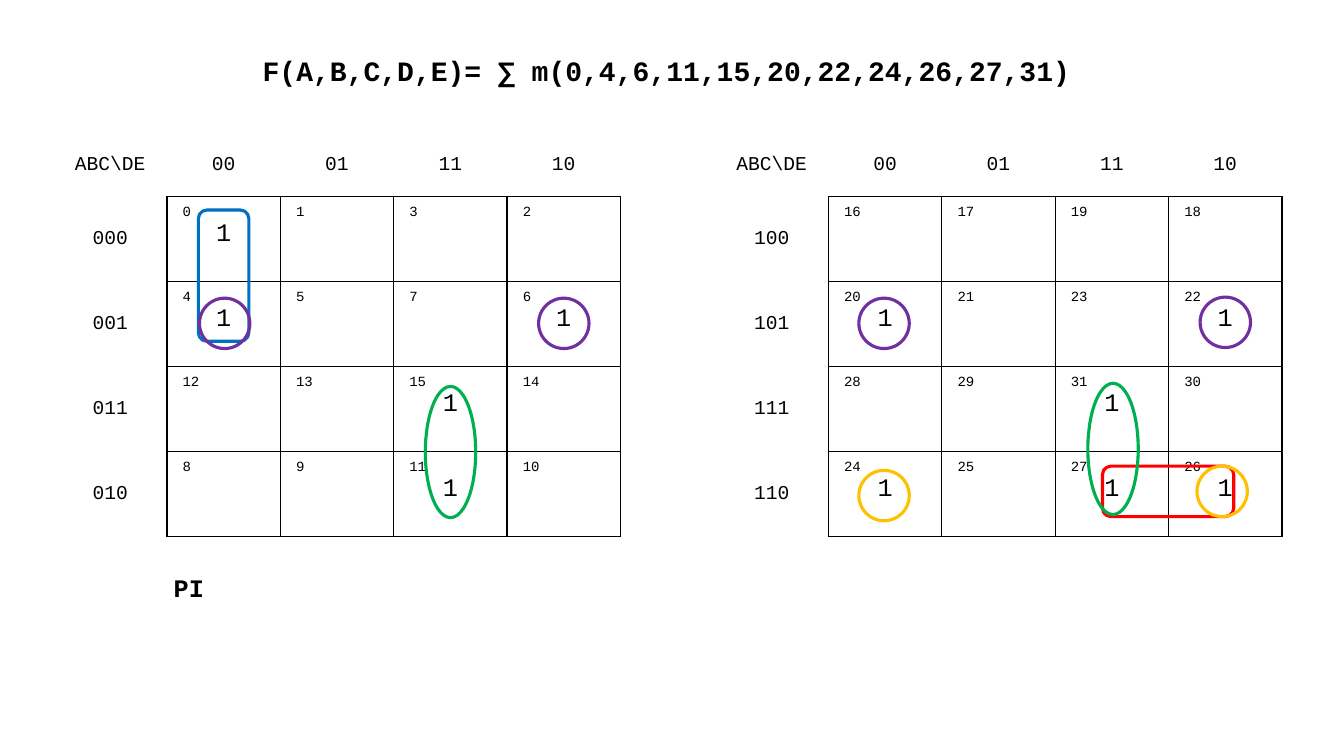
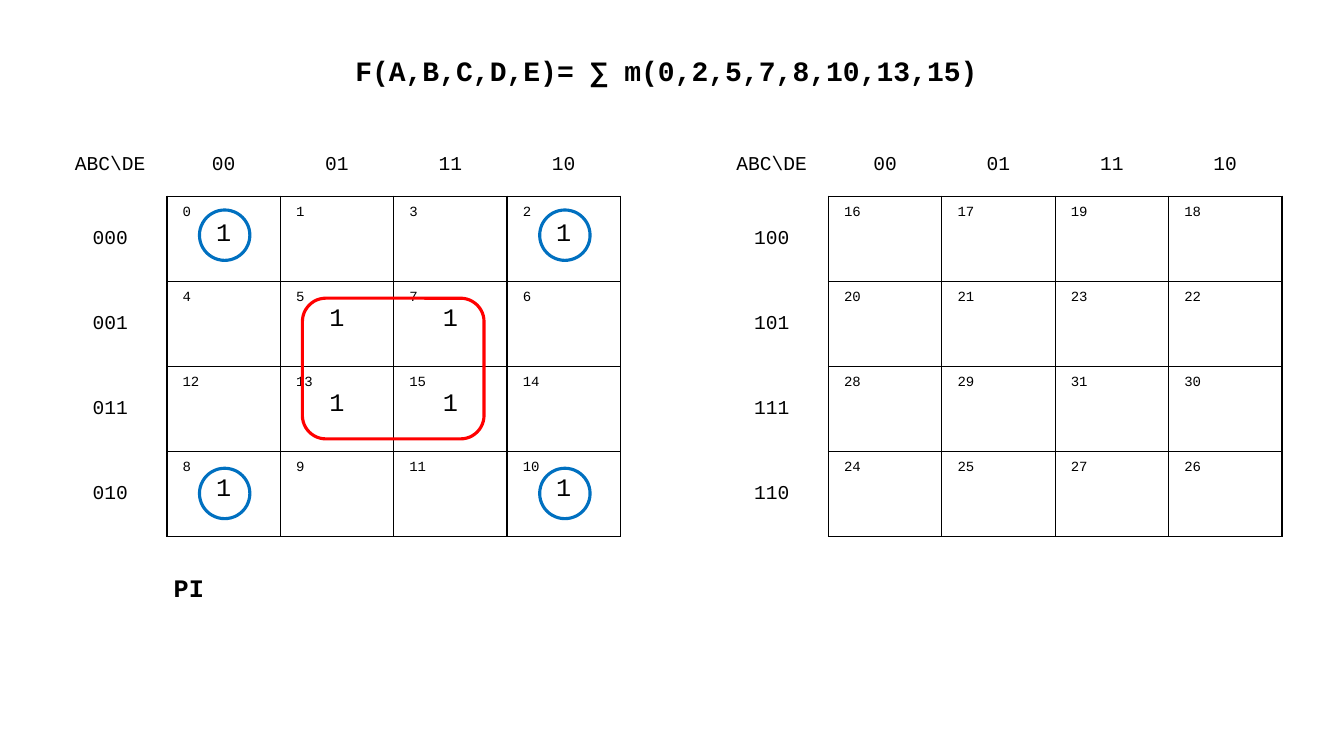
from dataclasses import dataclass

from lxml import etree
from pptx import Presentation
from pptx import util as u
from pptx.dml.color import RGBColor
from pptx.enum import shapes, text
from pptx.oxml import ns

PX = 9525
GRAY = (0, 1, 3, 2)
SIDES = ("L", "R", "T", "B")


@dataclass(frozen=True)
class Theme:
    font: str = "Courier New"
    ink: str = "000000"
    paper: str = "FFFFFF"
    red: str = "FF0000"
    blue: str = "0070C0"
    green: str = "00B050"
    purple: str = "7030A0"
    orange: str = "FFC000"
    title_size: int = 20
    note_size: int = 18
    one_size: int = 18
    label_size: int = 14
    index_size: int = 10
    border: float = 1
    loop: float = 2.25


def px(*lengths):
    return [u.Emu(length * PX) for length in lengths]


class Deck:
    def __init__(self, theme):
        self.theme = theme
        self.presentation = Presentation()
        self.presentation.slide_width, self.presentation.slide_height = px(1280, 720)
        self.slide = None

    def start_slide(self, minterms):
        layout = self.presentation.slide_layouts.get_by_name("Title Only")
        self.slide = self.presentation.slides.add_slide(layout)
        title = self.slide.shapes.title
        title.left, title.top, title.width, title.height = px(83, 41, 1104, 47)
        terms = ",".join(map(str, minterms))
        self.heading(title, f"F(A,B,C,D,E)= ∑ m({terms})", self.theme.title_size, text.PP_ALIGN.CENTER)

    def heading(self, shape, wording, size, align):
        frame = shape.text_frame
        frame.text = wording
        frame.word_wrap = True
        frame.auto_size = text.MSO_AUTO_SIZE.SHAPE_TO_FIT_TEXT
        frame.vertical_anchor = text.MSO_ANCHOR.TOP
        paragraph = frame.paragraphs[0]
        paragraph.line_spacing = 1.15
        paragraph.space_before = paragraph.space_after = u.Pt(6)
        self.style(paragraph, size, align, True)

    def style(self, paragraph, size, align, bold=False):
        paragraph.alignment = align
        for run in paragraph.runs:
            run.font.name = self.theme.font
            run.font.size = u.Pt(size)
            run.font.bold = bold
            run.font.color.rgb = RGBColor.from_string(self.theme.ink)

    def note(self, wording):
        box = self.slide.shapes.add_textbox(*px(156, 536, 1065, 41))
        self.heading(box, wording, self.theme.note_size, text.PP_ALIGN.LEFT)

    def cell(self, cell, wording, sides, is_label):
        cell.text = wording
        cell.margin_left, cell.margin_top, cell.margin_right, cell.margin_bottom = px(15, 8, 15, 8)
        cell.vertical_anchor = text.MSO_ANCHOR.MIDDLE if is_label else text.MSO_ANCHOR.TOP
        paragraphs = cell.text_frame.paragraphs
        if is_label:
            self.style(paragraphs[0], self.theme.label_size, text.PP_ALIGN.CENTER)
        else:
            self.style(paragraphs[0], self.theme.index_size, text.PP_ALIGN.LEFT)
            for paragraph in paragraphs[1:]:
                self.style(paragraph, self.theme.one_size, text.PP_ALIGN.CENTER)
        self.borders(cell, sides)
        cell.fill.solid()
        cell.fill.fore_color.rgb = RGBColor.from_string(self.theme.paper)

    def borders(self, cell, sides):
        properties = cell._tc.get_or_add_tcPr()
        for side in SIDES:
            line = etree.SubElement(properties, ns.qn(f"a:ln{side}"), w=str(u.Pt(self.theme.border)))
            if side in sides:
                fill = etree.SubElement(line, ns.qn("a:solidFill"))
                etree.SubElement(fill, ns.qn("a:srgbClr"), val=self.theme.ink)
            else:
                etree.SubElement(line, ns.qn("a:noFill"))

    def karnaugh_map(self, left, half, minterms):
        frame = self.slide.shapes.add_table(5, 5, *px(left, 127, 540, 384))
        table = frame.table
        table.first_row = table.horz_banding = False
        for column in table.columns:
            column.width = px(108)[0]
        for number, row in enumerate(table.rows):
            row.height = px(81 if number else 60)[0]
        self.cell(table.cell(0, 0), "ABC\\DE", "", True)
        for column, low_bits in enumerate(GRAY, 1):
            self.cell(table.cell(0, column), f"{low_bits:02b}", "B", True)
        for row, row_bits in enumerate(GRAY, 1):
            high_bits = half * 4 + row_bits
            self.cell(table.cell(row, 0), f"{high_bits:03b}", "R", True)
            for column, low_bits in enumerate(GRAY, 1):
                index = high_bits * 4 + low_bits
                wording = f"{index}\n1" if index in minterms else str(index)
                self.cell(table.cell(row, column), wording, SIDES, False)

    def loop(self, kind, color, left, top, width=48, height=48):
        shape = self.slide.shapes.add_shape(kind, *px(left, top, width, height))
        shape.shadow.inherit = False
        shape.fill.background()
        shape.line.color.rgb = RGBColor.from_string(color)
        shape.line.width = u.Pt(self.theme.loop)
        if kind == shapes.MSO_SHAPE.CHORD:
            shape.rotation = 180
            shape.adjustments[0] = 27
            shape.adjustments[1] = 16.82


def main():
    theme = Theme()
    deck = Deck(theme)
    rounded = shapes.MSO_SHAPE.ROUNDED_RECTANGLE
    chord = shapes.MSO_SHAPE.CHORD
    circle = shapes.MSO_SHAPE.OVAL
    functions = [
        (
            (0, 4, 6, 11, 15, 20, 22, 24, 26, 27, 31),
            [
                (rounded, theme.red, 1050, 444, 125, 48),
                (rounded, theme.blue, 189, 200, 48, 125),
                (chord, theme.green, 405, 368, 48, 125),
                (chord, theme.green, 1036, 365, 48, 125),
                (circle, theme.purple, 190, 284),
                (circle, theme.purple, 513, 284),
                (circle, theme.purple, 818, 284),
                (circle, theme.purple, 1143, 283),
                (circle, theme.orange, 1140, 444),
                (circle, theme.orange, 818, 448),
            ],
        ),
        (
            (0, 2, 5, 7, 8, 10, 13, 15),
            [(rounded, theme.red, 288, 284, 173, 134)]
            + [(circle, theme.blue, left, top) for top in (446, 200) for left in (190, 514)],
        ),
    ]
    for minterms, loops in functions:
        deck.start_slide(minterms)
        deck.karnaugh_map(681, 1, minterms)
        deck.karnaugh_map(51, 0, minterms)
        for loop in loops:
            deck.loop(*loop)
        deck.note("PI")
    deck.presentation.save("out.pptx")


if __name__ == "__main__":
    main()
